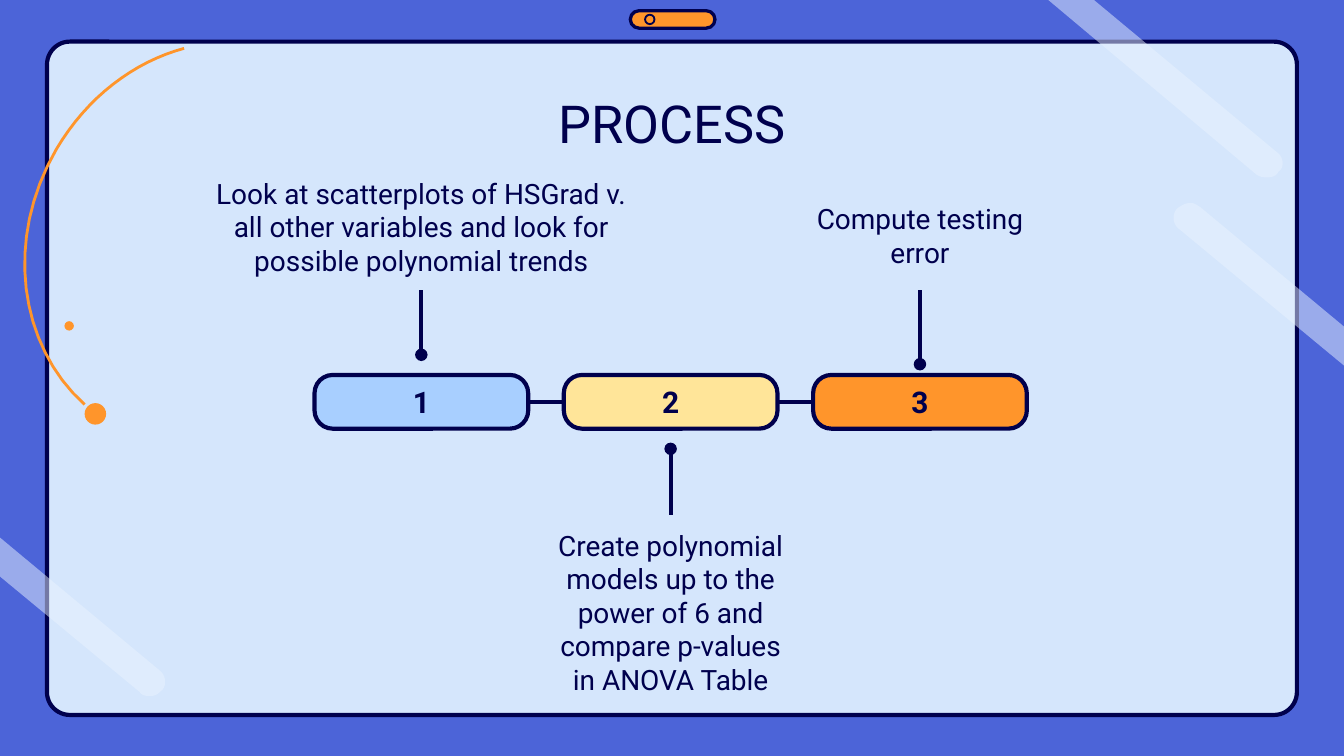
import itertools

import lxml.etree
import pptx
import pptx.dml.color
import pptx.enum.shapes
import pptx.enum.text
import pptx.oxml
import pptx.oxml.ns
import pptx.util

Inches = pptx.util.Inches
NAVY, ORANGE, STRIPE = "00004D", "FF952B", "E9F3FF"
FONT = "Roboto"
SHAPES = pptx.enum.shapes.MSO_SHAPE
ANCHORS = pptx.enum.text.MSO_ANCHOR
TOP, LEFT, BOTTOM, RIGHT = range(4)


def color(value):
    """Turn a hex string into a colour."""
    return pptx.dml.color.RGBColor.from_string(value)


def paint(shape, fill=None, line=None, weight=2.25):
    """Set fill and outline of a shape and remove its shadow."""
    shape.shadow.inherit = False
    if fill:
        shape.fill.solid()
        shape.fill.fore_color.rgb = color(fill)
    else:
        shape.fill.background()
    if line:
        shape.line.color.rgb = color(line)
        shape.line.width = pptx.util.Pt(weight)
    else:
        shape.line.fill.background()


def add_preset(page, kind, box, fill=None, line=None, weight=2.25, radius=None):
    """Add a painted preset shape."""
    shape = page.shapes.add_shape(kind, *map(Inches, box))
    if radius is not None:
        shape.adjustments[0] = radius
    paint(shape, fill, line, weight)
    return shape


def write(shape, text, size, bold=False, anchor=ANCHORS.TOP):
    """Write centred navy text into a shape."""
    frame = shape.text_frame
    frame.word_wrap = True
    frame.vertical_anchor = anchor
    frame.margin_left = frame.margin_right = Inches(0.1)
    frame.margin_top = frame.margin_bottom = Inches(0.1)
    frame.text = text
    para = frame.paragraphs[0]
    para.alignment = pptx.enum.text.PP_ALIGN.CENTER
    font = para.runs[0].font
    font.name, font.size, font.bold = FONT, pptx.util.Pt(size), bold
    font.color.rgb = color(NAVY)


def add_text(page, box, text, size):
    """Add a wrapped text box."""
    shape = page.shapes.add_textbox(*map(Inches, box))
    write(shape, text, size)
    return shape


def add_line(page, start, end):
    """Add a navy straight connector."""
    kind = pptx.enum.shapes.MSO_CONNECTOR.STRAIGHT
    line = page.shapes.add_connector(kind, *map(Inches, start + end))
    line.line.color.rgb = color(NAVY)
    line.line.width = pptx.util.Pt(2.25)
    lxml.etree.SubElement(line._element.spPr, pptx.oxml.ns.qn("a:effectLst"))
    return line


def trace(parts, steps=16):
    """Flatten line points and six-number cubic curves into points."""
    spots = [parts[0]]
    for part in parts[1:]:
        if len(part) == 2:
            spots.append(part)
            continue
        x, y = spots[-1]
        for step in range(1, steps + 1):
            t = step / steps
            weights = ((1 - t) ** 3, 3 * t * (1 - t) ** 2, 3 * t * t * (1 - t), t ** 3)
            spots.append((
                sum(w * v for w, v in zip(weights, (x, *part[::2]))),
                sum(w * v for w, v in zip(weights, (y, *part[1::2]))),
            ))
    return spots


def add_outline(page, box, parts, close):
    """Build a freeform whose points are relative to the box corner."""
    left, top = box[:2]
    spots = [(Inches(left + x), Inches(top + y)) for x, y in trace(parts)]
    builder = page.shapes.build_freeform(*spots[0])
    builder.add_line_segments(spots[1:], close=close)
    return builder.convert_to_shape()


def add_stripe(page, box, parts):
    """Add a half-transparent light stripe."""
    shape = add_outline(page, box, parts, True)
    paint(shape, STRIPE)
    tint = shape._element.spPr.find(".//" + pptx.oxml.ns.qn("a:srgbClr"))
    lxml.etree.SubElement(tint, pptx.oxml.ns.qn("a:alpha"), val="50000")


def add_pill(page, box):
    """Add the small camera pill with its ring."""
    left, top, width, height = box
    add_preset(page, SHAPES.ROUNDED_RECTANGLE, box, ORANGE, NAVY, 1.75, 0.5)
    ring = 0.07
    add_preset(page, SHAPES.OVAL, (left + 0.11, top + (height - ring) / 2, ring, ring),
               line=NAVY, weight=1)


def add_orbit(page, box):
    """Add the orange arc with its two dots."""
    left, top = box[:2]
    arc = [(0.4, 2.66), (-0.09, 2.22, -0.2, 1.43, 0.19, 0.76),
           (0.42, 0.37, 0.77, 0.11, 1.14, 0.01)]
    paint(add_outline(page, box, arc, False), line=ORANGE, weight=1.5)
    for x, y, size in ((0.25, 2.04, 0.07), (0.4, 2.65, 0.16)):
        add_preset(page, SHAPES.OVAL, (left + x, top + y, size, size), ORANGE)


def add_backdrop(page, box):
    """Add the panel and all decoration of the page."""
    left, top, width, height = box
    add_preset(page, SHAPES.ROUNDED_RECTANGLE,
               (left + 0.35, top + 0.31, width - 0.7, height - 0.61),
               "D5E6FC", NAVY, radius=0.034)
    add_pill(page, (left + 4.69, top + 0.08, 0.63, 0.13))
    add_orbit(page, (left + 0.23, top + 0.35, 1.15, 2.81))
    add_stripe(page, (left + 7.8, top, 1.76, 1.32), [
        (0, 0), (1.55, 1.3), (1.58, 1.32, 1.61, 1.32, 1.63, 1.32),
        (1.66, 1.32, 1.7, 1.31, 1.71, 1.28), (1.76, 1.25, 1.75, 1.17, 1.71, 1.14),
        (0.34, 0)])
    add_stripe(page, (left, top + 3.99, 1.24, 1.19), [
        (1.11, 1.19), (1.15, 1.19, 1.17, 1.18, 1.2, 1.15),
        (1.24, 1.12, 1.24, 1.04, 1.19, 1), (0, 0.01), (0, 0.3),
        (1.04, 1.16), (1.05, 1.18, 1.08, 1.19, 1.11, 1.19)])
    add_stripe(page, (left + 8.72, top + 1.51, 1.28, 1.22), [
        (0.14, 0), (0.1, 0, 0.07, 0.02, 0.04, 0.04),
        (0, 0.08, 0, 0.16, 0.06, 0.2), (1.28, 1.21), (1.28, 0.92),
        (0.21, 0.03), (0.19, 0.02, 0.17, 0, 0.14, 0)])


def add_process(page, box, steps):
    """Add numbered chips, their links and their notes."""
    left, top, width, height = box
    chip_width = 1.59
    pitch = (width - chip_width) / (len(steps) - 1)
    chips = []
    for index, (fill, text, above, note_width, note_height, reach, dot) in enumerate(steps):
        x = left + index * pitch
        chip = add_preset(page, SHAPES.ROUNDED_RECTANGLE, (x, top, chip_width, height),
                          fill, NAVY, radius=0.34)
        write(chip, str(index + 1), 16, True, ANCHORS.MIDDLE)
        chips.append(chip)
        center = x + chip_width / 2
        edge = top - reach if above else top + height + reach
        tip = top - dot if above else top + height + dot
        note_top = edge - note_height if above else edge
        note = add_text(page, (center - note_width / 2, note_top, note_width, note_height),
                        text, 15)
        stem = add_line(page, (center, edge), (center, tip))
        stem.begin_connect(note, BOTTOM if above else TOP)
        lxml.etree.SubElement(stem.line._get_or_add_ln(),
                              pptx.oxml.ns.qn("a:tailEnd"), type="oval")
    for first, second in itertools.pairwise(chips):
        link = add_line(page, (left, top), (left + width, top))
        link.begin_connect(first, RIGHT)
        link.end_connect(second, LEFT)


def main():
    """Build the process page."""
    deck = pptx.Presentation()
    deck.slide_width = Inches(10)
    deck.slide_height = deck.slide_width * 9 // 16
    page = deck.slides.add_slide(deck.slide_layouts[6])
    page.background.fill.solid()
    page.background.fill.fore_color.rgb = color("4C64D8")
    add_backdrop(page, (0, 0, deck.slide_width.inches, 5.62))
    add_text(page, (0.79, 0.58, 8.42, 0.63), "PROCESS", 28)
    add_process(page, (2.34, 2.79, 5.3, 0.4), [
        ("A8CFFF", "Look at scatterplots of HSGrad v. all other variables and look for "
         "possible polynomial trends", True, 3.28, 0.95, 0.63, 0.15),
        ("FFE599", "Create polynomial models up to the power of 6 and compare p-values "
         "in ANOVA Table", False, 1.99, 1.48, 0.64, 0.15),
        (ORANGE, "Compute testing error", True, 1.99, 0.76, 0.63, 0.08),
    ])
    deck.save("out.pptx")


if __name__ == "__main__":
    main()
